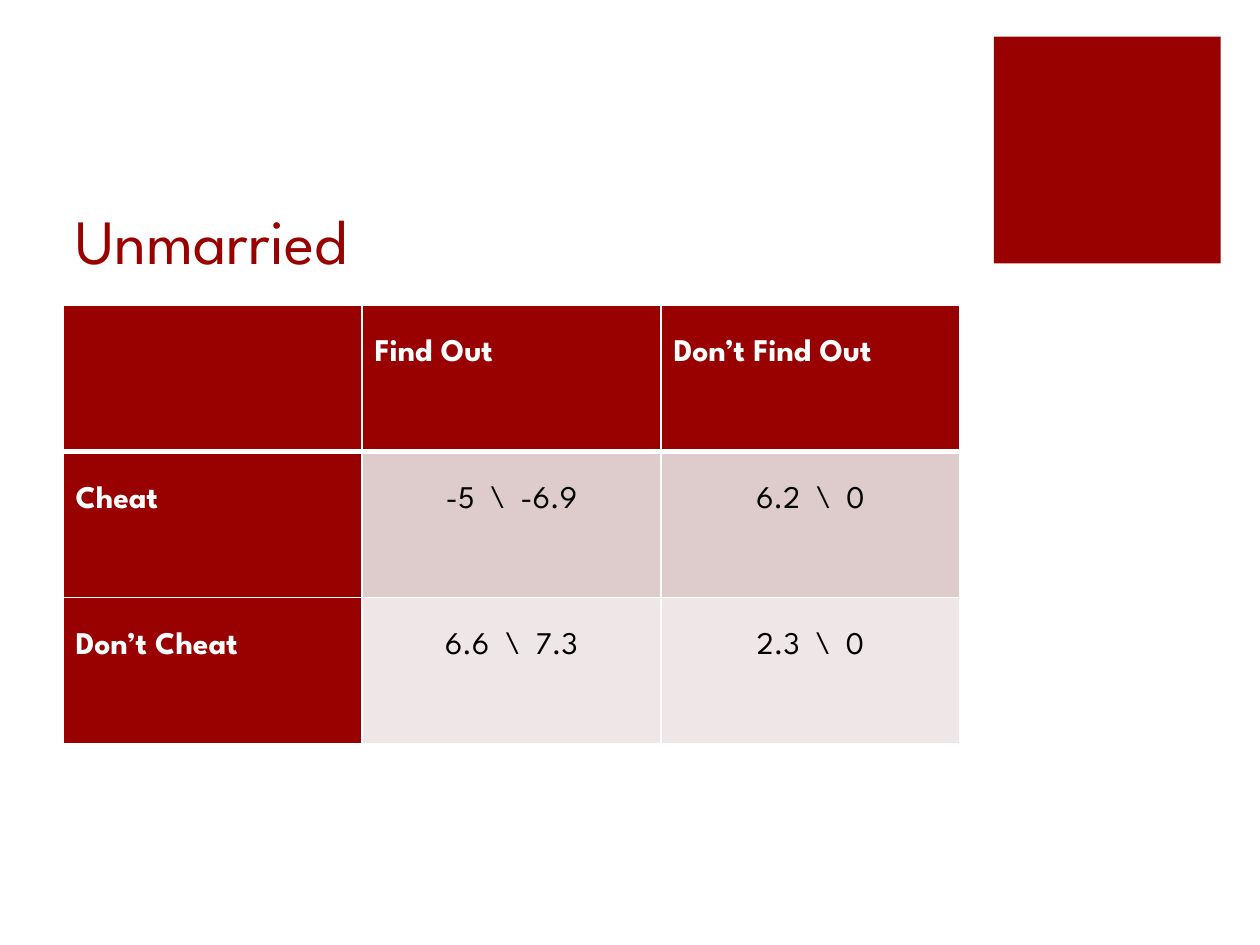
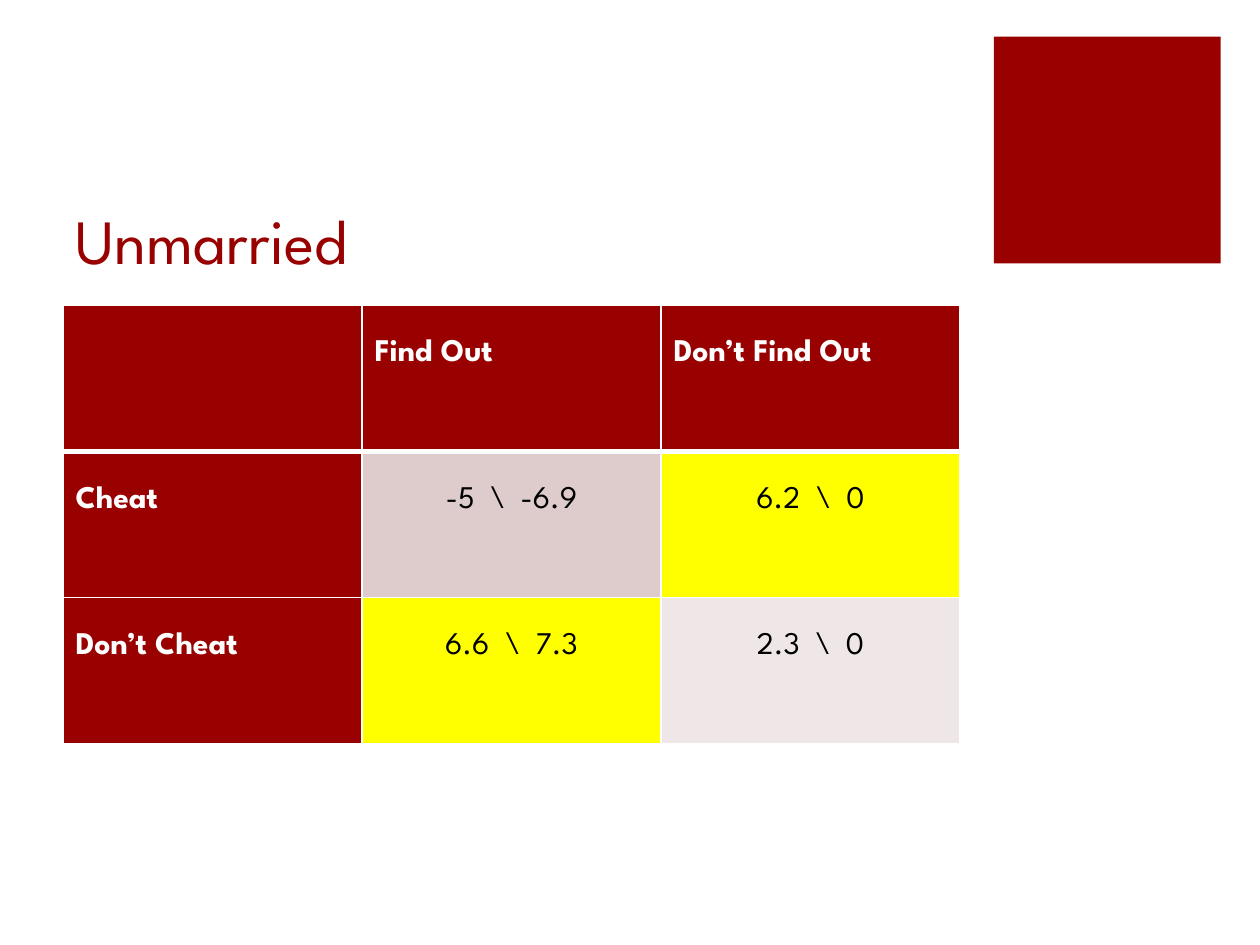
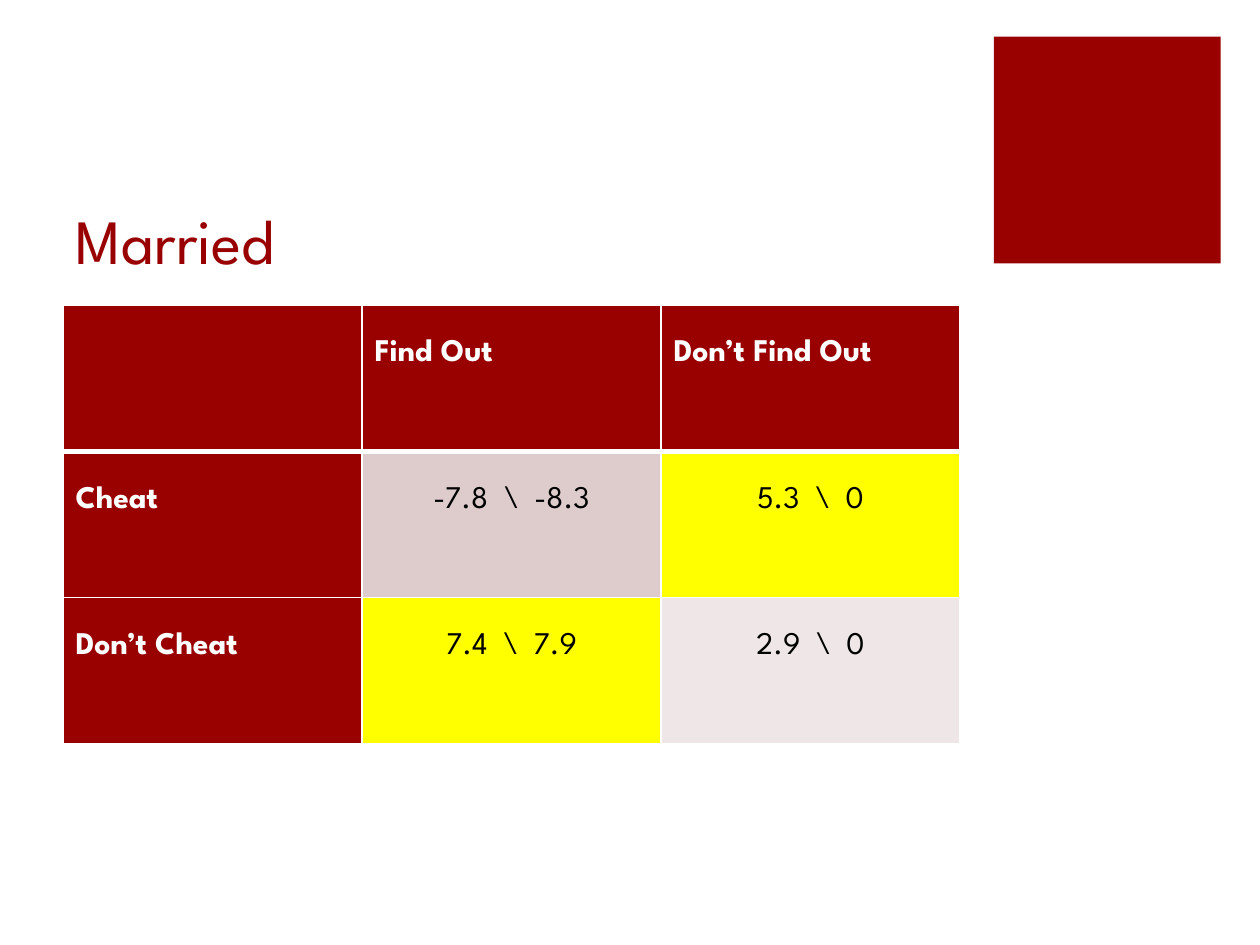
from lxml.etree import SubElement
from pptx import Presentation
from pptx.dml.color import RGBColor
from pptx.enum.shapes import MSO_SHAPE
from pptx.enum.text import MSO_ANCHOR, PP_ALIGN
from pptx.oxml.ns import qn
from pptx.util import Pt

RED = RGBColor(0x99, 0x00, 0x00)
WHITE = RGBColor(0xFF, 0xFF, 0xFF)
BLACK = RGBColor(0x00, 0x00, 0x00)
YELLOW = RGBColor(0xFF, 0xFF, 0x00)
BANDS = [RGBColor(0xDE, 0xCC, 0xCC), RGBColor(0xEF, 0xE7, 0xE7)]
FONT = "League Spartan"

LEFT, WIDTH = Pt(36), Pt(512.64)
COLUMNS = ["", "Find Out", "Don’t Find Out"]
ROWS = ["Cheat", "Don’t Cheat"]
UNMARRIED = [["-5  \\  -6.9", "6.2  \\  0"], ["6.6  \\  7.3", "2.3  \\  0"]]
MARRIED = [["-7.8  \\  -8.3", "5.3  \\  0"], ["7.4  \\  7.9", "2.9  \\  0"]]
BEST = {(1, 2), (2, 1)}  # the better choice in each column

# title, payoffs, highlighted cells
SLIDES = [
    ("Unmarried", UNMARRIED, set()),
    ("Unmarried", UNMARRIED, BEST),
    ("Married", MARRIED, BEST),
]


def add_run(p, text, size, color, bold=False):
    """Add one styled run to a paragraph."""
    r = p.add_run()
    r.text = text
    r.font.name = FONT
    r.font.size = Pt(size)
    r.font.bold = bold
    r.font.color.rgb = color


def set_borders(cell, top, bottom):
    """Draw white cell borders; top and bottom are widths in points."""
    tc_pr = cell._tc.get_or_add_tcPr()
    for side, width in (("L", 1), ("R", 1), ("T", top), ("B", bottom)):
        ln = SubElement(tc_pr, qn(f"a:ln{side}"), w=str(Pt(width)))
        fill = SubElement(ln, qn("a:solidFill"))
        SubElement(fill, qn("a:srgbClr"), val=str(WHITE))


prs = Presentation()
prs.slide_width, prs.slide_height = Pt(720), Pt(540)

for title, payoffs, highlights in SLIDES:
    s = prs.slides.add_slide(prs.slide_layouts[6])

    # Corner square
    sp = s.shapes.add_shape(MSO_SHAPE.RECTANGLE, Pt(568), Pt(21), Pt(129.6), Pt(129.6))
    sp.shadow.inherit = False
    sp.fill.solid()
    sp.fill.fore_color.rgb = RED
    sp.line.fill.background()

    # Title
    tf = s.shapes.add_textbox(LEFT, Pt(72), WIDTH, Pt(90)).text_frame
    tf.word_wrap = True
    tf.vertical_anchor = MSO_ANCHOR.BOTTOM
    add_run(tf.paragraphs[0], title, 36, RED)

    # Payoff table
    grid = [COLUMNS] + [[name] + values for name, values in zip(ROWS, payoffs)]
    table = s.shapes.add_table(3, 3, LEFT, Pt(174.24), WIDTH, Pt(250.8)).table
    table.horz_banding = False
    for i, row in enumerate(grid):
        for j, text in enumerate(row):
            cell = table.cell(i, j)
            heading = i == 0 or j == 0
            set_borders(cell, 3 if i == 1 else 1, 3 if i == 0 else 1)
            cell.fill.solid()
            if heading:
                cell.fill.fore_color.rgb = RED
            elif (i, j) in highlights:
                cell.fill.fore_color.rgb = YELLOW
            else:
                cell.fill.fore_color.rgb = BANDS[i - 1]
            cell.margin_top = Pt(20)
            p = cell.text_frame.paragraphs[0]
            p.alignment = PP_ALIGN.LEFT if heading else PP_ALIGN.CENTER
            if text:
                add_run(p, text, 18, WHITE if heading else BLACK, heading)

prs.save("out.pptx")
